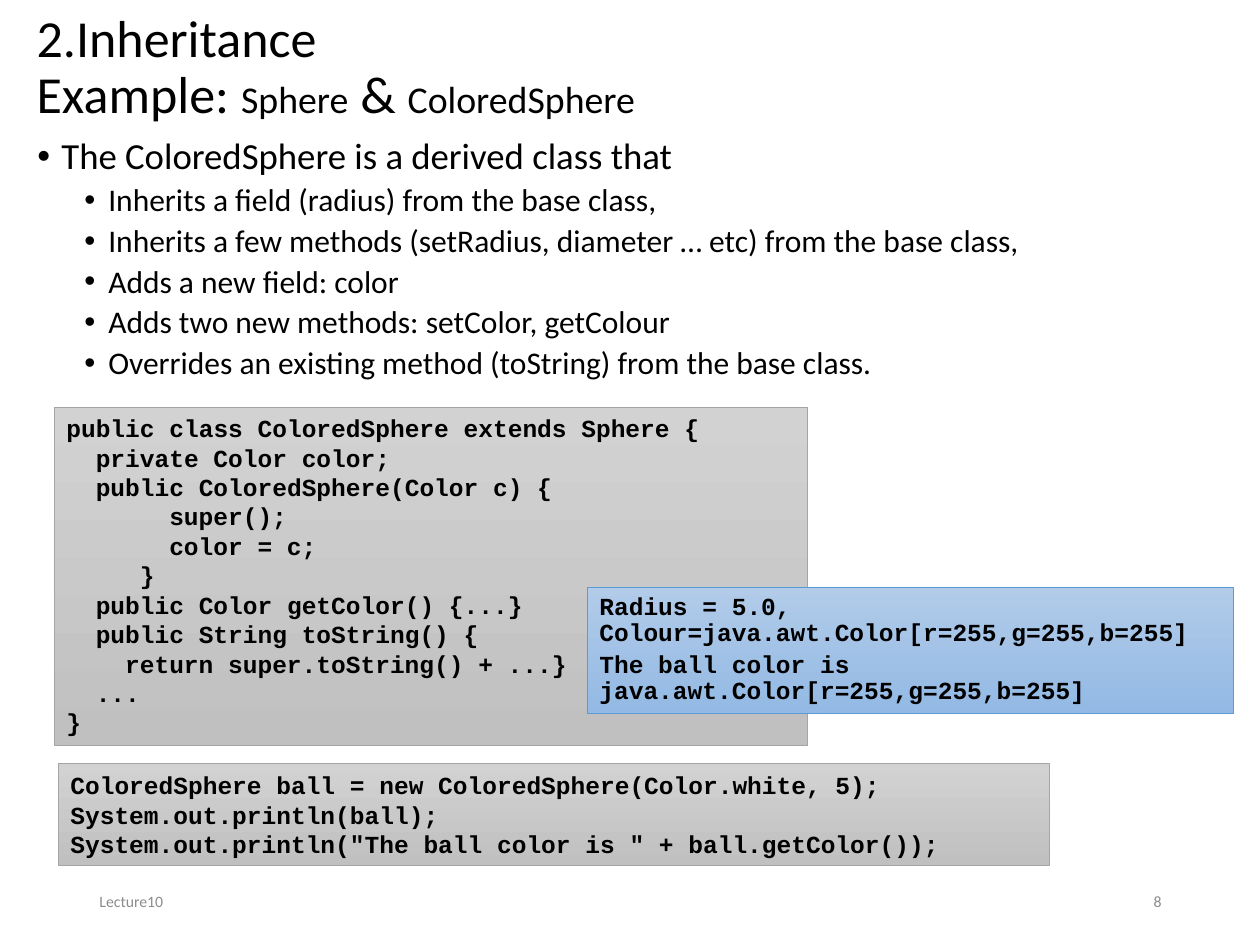
import dataclasses

import pptx
import pptx.dml.color
import pptx.enum.shapes
import pptx.enum.text
import pptx.util
from pptx.oxml.xmlchemy import OxmlElement

Align = pptx.enum.text.PP_ALIGN
Anchor = pptx.enum.text.MSO_ANCHOR


@dataclasses.dataclass(frozen=True)
class Theme:
    ink: str = "000000"
    mute: str = "8C8C8C"
    gray: tuple = ("D2D2D2", "C0C0C0", "A5A5A5")
    blue: tuple = ("B1CBE9", "93B9E4", "5B9BD5")
    sans: str = "Calibri"
    mono: str = "Courier New"
    head: float = 29.7
    term: float = 21.6
    levels: tuple = ((21, 24, 7.5), (18, 71, 3.8))
    code: int = 14
    foot: int = 9
    tight: float = 0.9


def px(count):
    return round(count * 914400 / 126)


def tint(text):
    return pptx.dml.color.RGBColor.from_string(text)


class Deck:
    def __init__(self, theme, wide, high):
        self.theme = theme
        self.file = pptx.Presentation()
        self.file.slide_width, self.file.slide_height = px(wide), px(high)
        self.slide = self.file.slides.add_slide(self.file.slide_layouts[5])

    def frame(self, shape, anchor=Anchor.TOP):
        frame = shape.text_frame
        frame.word_wrap = True
        frame.auto_size = pptx.enum.text.MSO_AUTO_SIZE.NONE
        frame.vertical_anchor = anchor
        return frame

    def box(self, spot, anchor=Anchor.TOP):
        return self.frame(self.slide.shapes.add_textbox(*map(px, spot)), anchor)

    def line(self, frame, first, align=Align.LEFT, space=None, before=0):
        para = frame.paragraphs[0] if first else frame.add_paragraph()
        para.alignment = align
        para.line_spacing = space
        para.space_before = pptx.util.Pt(before)
        return para

    def run(self, para, text, size, font=None, color=None, bold=False):
        run = para.add_run()
        run.text = text
        run.font.size = pptx.util.Pt(size)
        run.font.name = font or self.theme.sans
        run.font.bold = bold
        run.font.color.rgb = tint(color or self.theme.ink)

    def title(self, spot, lead, parts):
        shape = self.slide.shapes.title
        shape.left, shape.top, shape.width, shape.height = map(px, spot)
        frame = self.frame(shape, Anchor.MIDDLE)
        para = self.line(frame, True, space=self.theme.tight)
        self.run(para, lead, self.theme.head)
        para.add_line_break()
        for text, size in parts:
            self.run(para, text, size)

    def list(self, spot, items):
        frame = self.box(spot)
        for index, (level, text) in enumerate(items):
            size, left, before = self.theme.levels[level]
            para = self.line(frame, index == 0, space=self.theme.tight, before=before)
            para.level = level
            props = para._p.get_or_add_pPr()
            props.set("marL", str(px(left)))
            props.set("indent", str(px(-24)))
            font = OxmlElement("a:buFont")
            font.set("typeface", "Arial")
            mark = OxmlElement("a:buChar")
            mark.set("char", "•")
            props.extend([font, mark])
            self.run(para, text, size)

    def panel(self, spot, colors, rows, space=None, before=0):
        kind = pptx.enum.shapes.MSO_SHAPE.RECTANGLE
        shape = self.slide.shapes.add_shape(kind, *map(px, spot))
        shape.shadow.inherit = False
        shape.fill.gradient()
        shape.fill.gradient_angle = 270
        for stop, color in zip(shape.fill.gradient_stops, colors):
            stop.color.rgb = tint(color)
        shape.line.color.rgb = tint(colors[-1])
        shape.line.width = pptx.util.Pt(0.5)
        frame = self.frame(shape)
        step = pptx.util.Pt(self.theme.code * 0.6)
        for index, (depth, text) in enumerate(rows):
            para = self.line(frame, index == 0, space=space, before=before)
            para._p.get_or_add_pPr().set("marL", str(depth * step))
            self.run(para, text, self.theme.code, self.theme.mono, bold=True)

    def foot(self, left, text, align):
        frame = self.box((left, 876, 284, 50), Anchor.MIDDLE)
        para = self.line(frame, True, align)
        self.run(para, text, self.theme.foot, color=self.theme.mute)


def main():
    theme = Theme()
    deck = Deck(theme, 1260, 945)
    deck.title((24, 3, 1235, 132), "2.Inheritance", [
        ("Example: ", theme.head),
        ("Sphere", theme.term),
        (" & ", theme.head),
        ("ColoredSphere", theme.term),
    ])
    deck.list((25, 132, 1207, 305), [
        (0, "The ColoredSphere is a derived class that"),
        (1, "Inherits a field (radius) from the base class,"),
        (1, "Inherits a few methods (setRadius, diameter … etc) from the base class,"),
        (1, "Adds a new field: color"),
        (1, "Adds two new methods: setColor, getColour"),
        (1, "Overrides an existing method (toString) from the base class."),
    ])
    deck.foot(87, "Lecture10", Align.LEFT)
    deck.foot(890, "8", Align.RIGHT)
    deck.panel((54, 407, 754, 339), theme.gray, [
        (0, "public class ColoredSphere extends Sphere {"),
        (2, "private Color color;"),
        (2, "public ColoredSphere(Color c) {"),
        (7, "super();"),
        (7, "color = c;"),
        (5, "}"),
        (2, "public Color getColor() {...}"),
        (2, "public String toString() {"),
        (4, "return super.toString() + ...}"),
        (2, "..."),
        (0, "}"),
    ])
    deck.panel((58, 764, 992, 102), theme.gray, [
        (0, "ColoredSphere ball = new ColoredSphere(Color.white, 5);"),
        (0, "System.out.println(ball);"),
        (0, 'System.out.println("The ball color is " + ball.getColor());'),
    ])
    deck.panel((587, 588, 646, 126), theme.blue, [
        (0, "Radius = 5.0, Colour=java.awt.Color[r=255,g=255,b=255]"),
        (0, "The ball color is java.awt.Color[r=255,g=255,b=255]"),
    ], space=theme.tight, before=2.8)
    deck.file.save("out.pptx")


if __name__ == "__main__":
    main()
